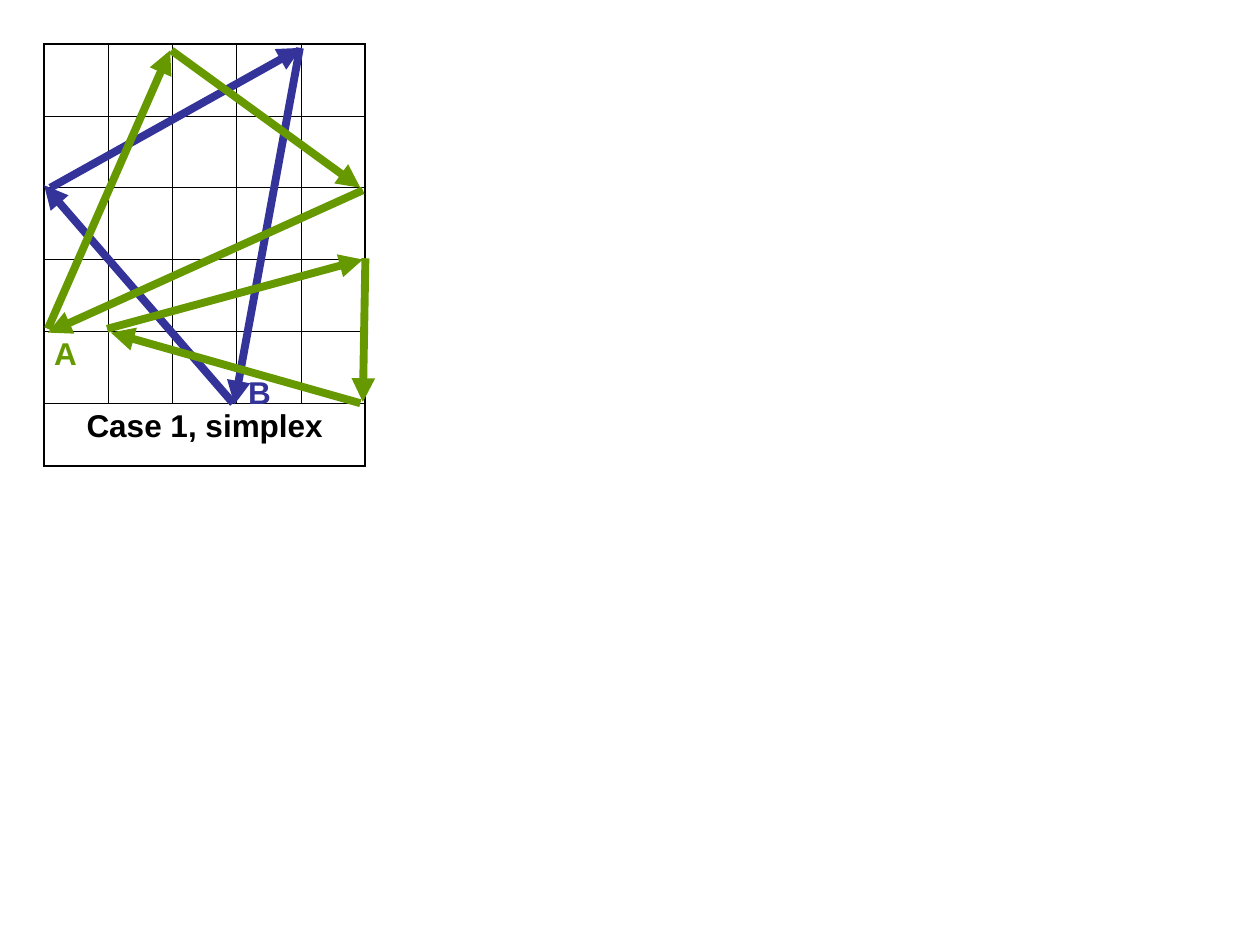
from lxml import etree
from pptx import Presentation
from pptx import util as u
from pptx.dml.color import RGBColor
from pptx.enum import shapes, text
from pptx.oxml import ns

BLUE, GREEN, BLACK = "333399", "669900", "000000"


def paint(color, tone):
    color.rgb = RGBColor.from_string(tone)


def style(para, tone):
    para.font.name, para.font.size, para.font.bold = "Arial", u.Pt(18), True
    paint(para.font.color, tone)


prs = Presentation()
prs.slide_width, prs.slide_height = u.Inches(10), u.Inches(7.5)
slide = prs.slides.add_slide(prs.slide_layouts[6])

# Grid of five by five squares above a caption row
rows, cols = 6, 5
frame = slide.shapes.add_table(rows, cols, u.Inches(0.35), u.Inches(0.35),
                               u.Inches(2.55), u.Inches(3.33))
grid = frame.table
grid.first_row = grid.horz_banding = False
for col in grid.columns:
    col.width = u.Inches(0.51)
for row in grid.rows:
    row.height = u.Inches(0.57)
grid.rows[5].height = u.Inches(0.5)
grid.cell(5, 0).merge(grid.cell(5, 4))

# Thick outer border, thin inner lines
for r in range(rows):
    for c in range(cols):
        cell = grid.cell(r, c)
        if cell.is_spanned:
            continue
        props = cell._tc.get_or_add_tcPr()
        last = c + cell.span_width == cols
        for side, outer in (("L", c == 0), ("R", last),
                            ("T", r == 0), ("B", r == rows - 1)):
            width = u.Pt(1.08 if outer else 0.45)
            edge = etree.SubElement(props, ns.qn("a:ln" + side), w=str(width))
            fill = etree.SubElement(edge, ns.qn("a:solidFill"))
            etree.SubElement(fill, ns.qn("a:srgbClr"), val=BLACK)
        cell.fill.background()

# Caption
cell = grid.cell(5, 0)
cell.text = "Case 1, simplex"
para = cell.text_frame.paragraphs[0]
para.alignment = text.PP_ALIGN.CENTER
para.space_before = u.Pt(4.5)
style(para, BLACK)

# Arrows of the two paths
arrows = [
    (BLUE, 1.85, 3.2, 0.35, 1.47),
    (BLUE, 0.4, 1.49, 2.39, 0.38),
    (BLUE, 2.38, 0.38, 1.86, 3.21),
    (GREEN, 0.38, 2.61, 1.35, 0.4),
    (GREEN, 1.36, 0.4, 2.86, 1.49),
    (GREEN, 2.88, 1.51, 0.38, 2.64),
    (GREEN, 2.9, 2.05, 2.88, 3.19),
    (GREEN, 2.86, 3.2, 0.88, 2.64),
    (GREEN, 0.85, 2.61, 2.88, 2.06),
]
for tone, *ends in arrows:
    arrow = slide.shapes.add_connector(shapes.MSO_CONNECTOR.STRAIGHT,
                                       *map(u.Inches, ends))
    arrow.line.width = u.Pt(4.5)
    paint(arrow.line.color, tone)
    etree.SubElement(arrow.line._get_or_add_ln(), ns.qn("a:tailEnd"),
                     type="triangle")
    etree.SubElement(arrow._element.spPr, ns.qn("a:effectLst"))

# Labels of the starting points
for name, tone, x, y in (("A", GREEN, 0.43, 2.65), ("B", BLUE, 1.97, 2.96)):
    box = slide.shapes.add_textbox(u.Inches(x), u.Inches(y),
                                   u.Inches(0.18), u.Inches(0.3))
    body = box.text_frame
    body.margin_left = body.margin_right = 0
    body.margin_top = body.margin_bottom = 0
    body.word_wrap = False
    body.auto_size = text.MSO_AUTO_SIZE.SHAPE_TO_FIT_TEXT
    body.text = name
    style(body.paragraphs[0], tone)

prs.save("out.pptx")
